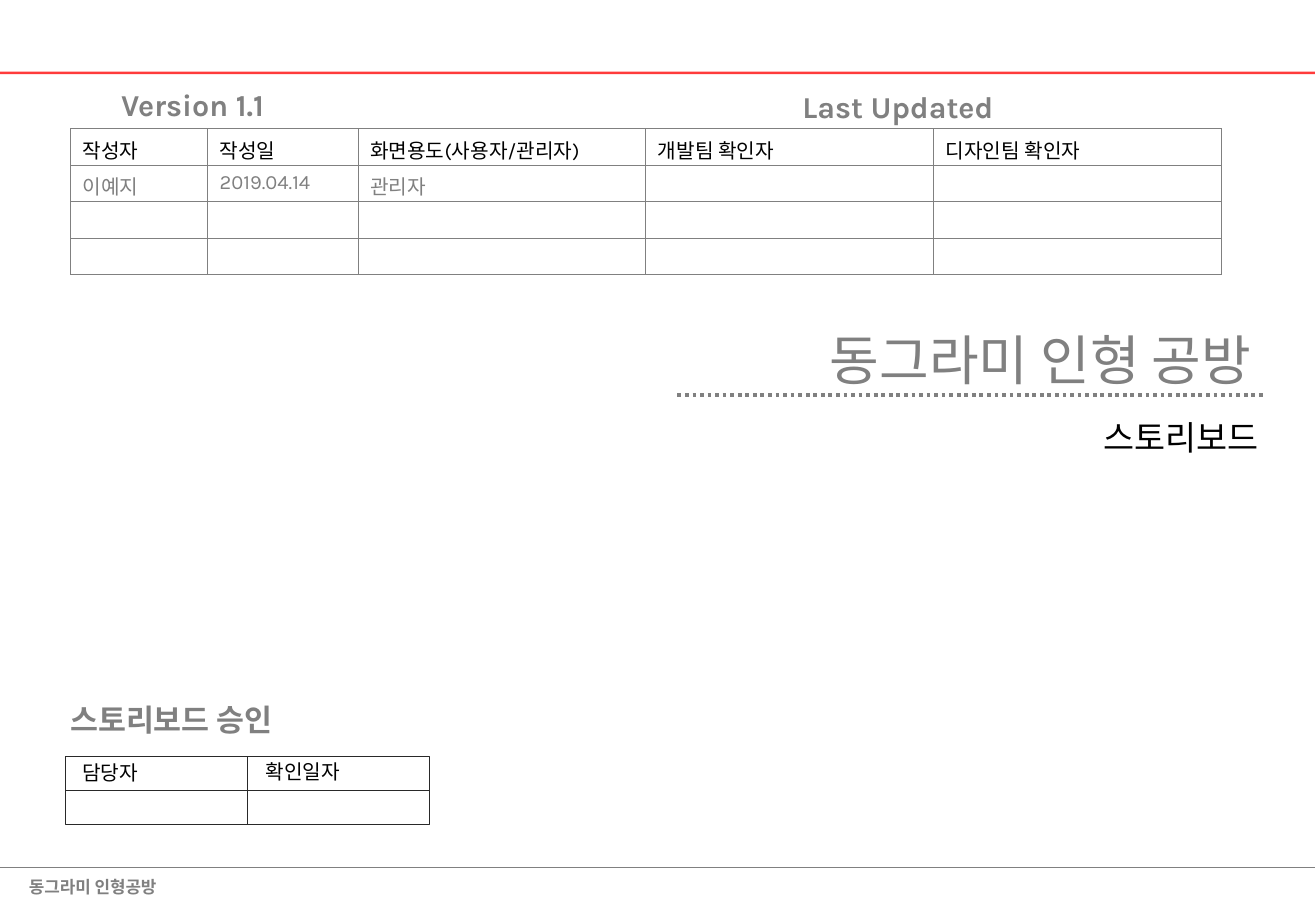
from lxml import etree
from pptx import Presentation, util as u
from pptx.dml.color import RGBColor
from pptx.enum import dml, shapes, text
from pptx.oxml.ns import qn

COLORS = {"red": "FF0000", "gray": "808080", "black": "000000", "box": "292929"}
LATIN, KOREAN = "Karla", "Noto Sans CJK KR"
RIGHT = text.PP_ALIGN.RIGHT


class StoryboardSlide:
    def __init__(self, presentation):
        self.slide = presentation.slides.add_slide(presentation.slide_layouts[5])

    def color(self, name):
        return RGBColor.from_string(COLORS[name])

    def style(self, frame, size, color, font=KOREAN, bold=False, align=None):
        for paragraph in frame.paragraphs:
            paragraph.alignment = align
            for run in paragraph.runs:
                run.font.size = u.Pt(size)
                run.font.bold = bold
                run.font.name = font
                run.font.color.rgb = self.color(color)
                east_asian = etree.SubElement(run._r.get_or_add_rPr(), qn("a:ea"))
                east_asian.set("typeface", KOREAN)

    def title(self, words, left, top, width, height):
        title = self.slide.shapes.title
        title.left, title.top = u.Inches(left), u.Inches(top)
        title.width, title.height = u.Inches(width), u.Inches(height)
        frame = title.text_frame
        frame.text = words
        frame.auto_size = text.MSO_AUTO_SIZE.NONE
        frame.vertical_anchor = text.MSO_ANCHOR.BOTTOM
        self.style(frame, 32, "gray", align=RIGHT)

    def label(self, words, left, top, width, height, size, color,
              wrap=True, spacing=None, **style):
        box = self.slide.shapes.add_textbox(*map(u.Inches, (left, top, width, height)))
        frame = box.text_frame
        frame.text = words
        frame.word_wrap = wrap
        frame.paragraphs[0].line_spacing = spacing
        self.style(frame, size, color, **style)

    def line(self, left, right, y, color, width, dash=None, alpha=None):
        line = self.slide.shapes.add_connector(
            shapes.MSO_CONNECTOR.STRAIGHT, *map(u.Inches, (left, y, right, y)))
        line.line.color.rgb = self.color(color)
        line.line.width = u.Pt(width)
        if dash:
            line.line.dash_style = dash
        if alpha:
            fill = line._element.spPr.find(".//" + qn("a:srgbClr"))
            etree.SubElement(fill, qn("a:alpha")).set("val", str(alpha * 1000))
        etree.SubElement(line._element.spPr, qn("a:effectLst"))

    def box(self, left, top, width, height):
        box = self.slide.shapes.add_shape(
            shapes.MSO_SHAPE.RECTANGLE, *map(u.Inches, (left, top, width, height)))
        box.shadow.inherit = False
        box.fill.background()
        box.line.color.rgb = self.color("box")
        box.line.width = u.Pt(0.75)

    def borders(self, cell, color, width):
        properties = cell._tc.get_or_add_tcPr()
        for index, side in enumerate(("a:lnL", "a:lnR", "a:lnT", "a:lnB")):
            border = etree.Element(qn(side), w=str(u.Pt(width)))
            fill = etree.SubElement(border, qn("a:solidFill"))
            etree.SubElement(fill, qn("a:srgbClr")).set("val", COLORS[color])
            properties.insert(index, border)

    def table(self, rows, left, top, widths, row_height):
        table = self.slide.shapes.add_table(
            len(rows), len(widths), u.Inches(left), u.Inches(top),
            u.Inches(sum(widths)), u.Inches(row_height * len(rows))).table
        table.first_row = table.horz_banding = False
        for column, width in zip(table.columns, widths):
            column.width = u.Inches(width)
        for row_index, row in enumerate(rows):
            table.rows[row_index].height = u.Inches(row_height)
            for column_index, words in enumerate(row):
                cell = table.cell(row_index, column_index)
                cell.fill.background()
                self.borders(cell, "gray", 0.45)
                if words:
                    cell.text = words
                    self.style(cell.text_frame, 12, "gray" if row_index else "black", LATIN)
                else:
                    end = etree.SubElement(cell.text_frame.paragraphs[0]._p, qn("a:endParaRPr"))
                    end.set("sz", "1200")


def main():
    presentation = Presentation()
    presentation.slide_width = u.Inches(10.84)
    presentation.slide_height = u.Inches(7.5)
    page = StoryboardSlide(presentation)

    # Header and footer
    page.line(0, 10.83, 0.6, "red", 1.5, alpha=76)
    page.line(0, 10.83, 7.14, "gray", 0.75)
    page.label("동그라미 인형공방", 0.14, 7.17, 1.25, 0.27, 10, "gray", wrap=False, bold=True)

    # Version history
    page.label("Version 1.1", 0.9, 0.66, 1.8, 0.4, 18, "gray", font=LATIN, bold=True)
    page.label("Last Updated", 6.36, 0.68, 1.92, 0.4, 18, "gray",
               font=LATIN, bold=True, align=RIGHT)
    history = [
        ["작성자", "작성일", "화면용도(사용자/관리자)", "개발팀 확인자", "디자인팀 확인자"],
        ["이예지", "2019.04.14", "관리자", "", ""],
        [""] * 5,
        [""] * 5,
    ]
    page.table(history, 0.58, 1.06, [1.13, 1.24, 2.37, 2.37, 2.37], 0.3)

    # Title and subtitle
    page.title("동그라미 인형 공방", 4.23, 2.56, 6.18, 0.71)
    page.line(5.58, 10.42, 3.25, "gray", 2.25, dash=dml.MSO_LINE.ROUND_DOT)
    page.label("스토리보드", 4.21, 3.28, 6.26, 0.87, 20, "black", spacing=1.3, align=RIGHT)

    # Approval boxes
    page.label("스토리보드 승인", 0.48, 5.72, 2.12, 0.4, 18, "gray", font=LATIN, bold=True)
    for row in range(2):
        for column in range(2):
            page.box(0.54 + 1.5 * column, 6.23 + 0.28 * row, 1.5, 0.28)
    page.label("담당자", 0.58, 6.21, 0.66, 0.3, 12, "black", wrap=False)
    page.label("확인일자", 2.09, 6.2, 0.81, 0.3, 12, "black", wrap=False)

    presentation.save("out.pptx")


if __name__ == "__main__":
    main()
